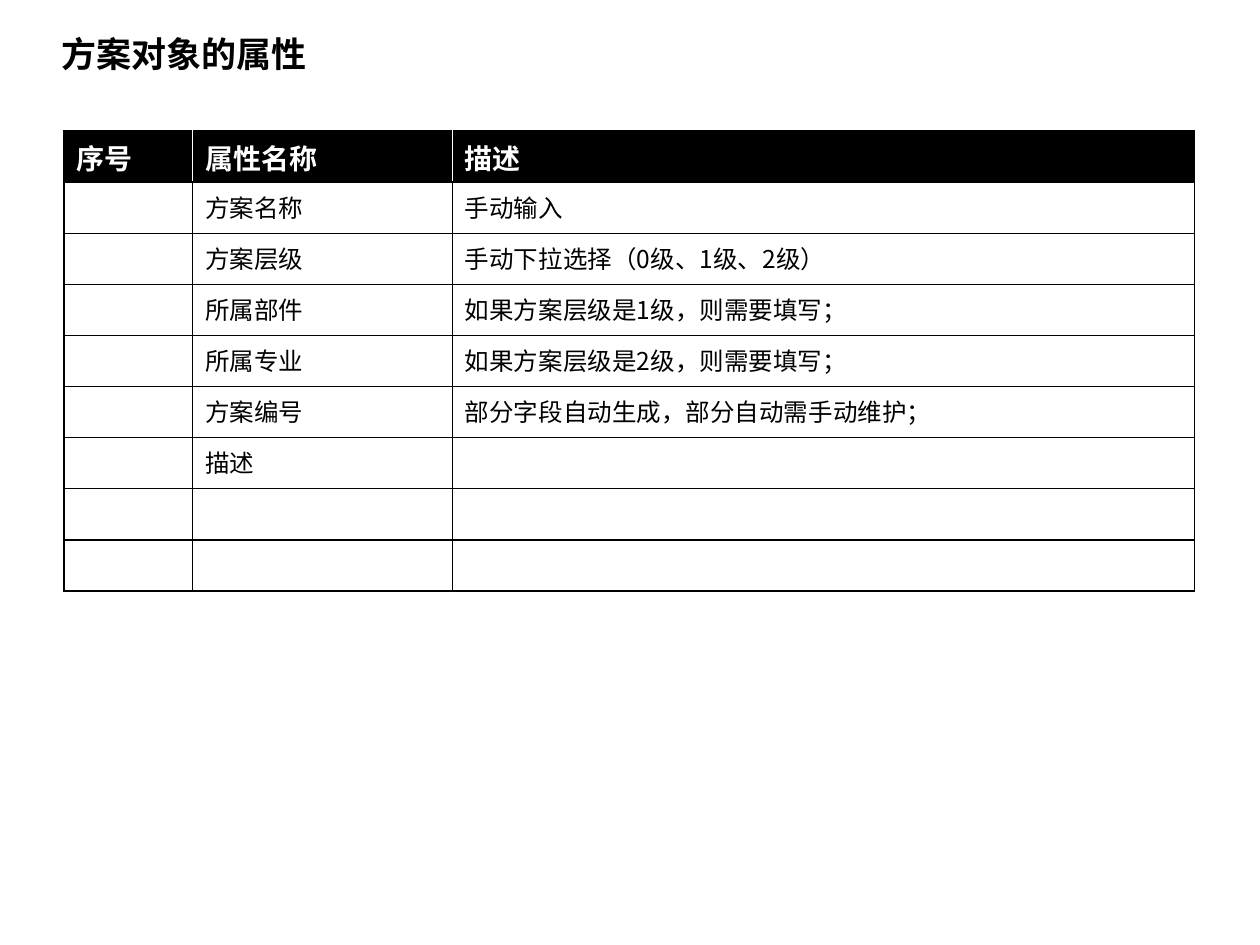
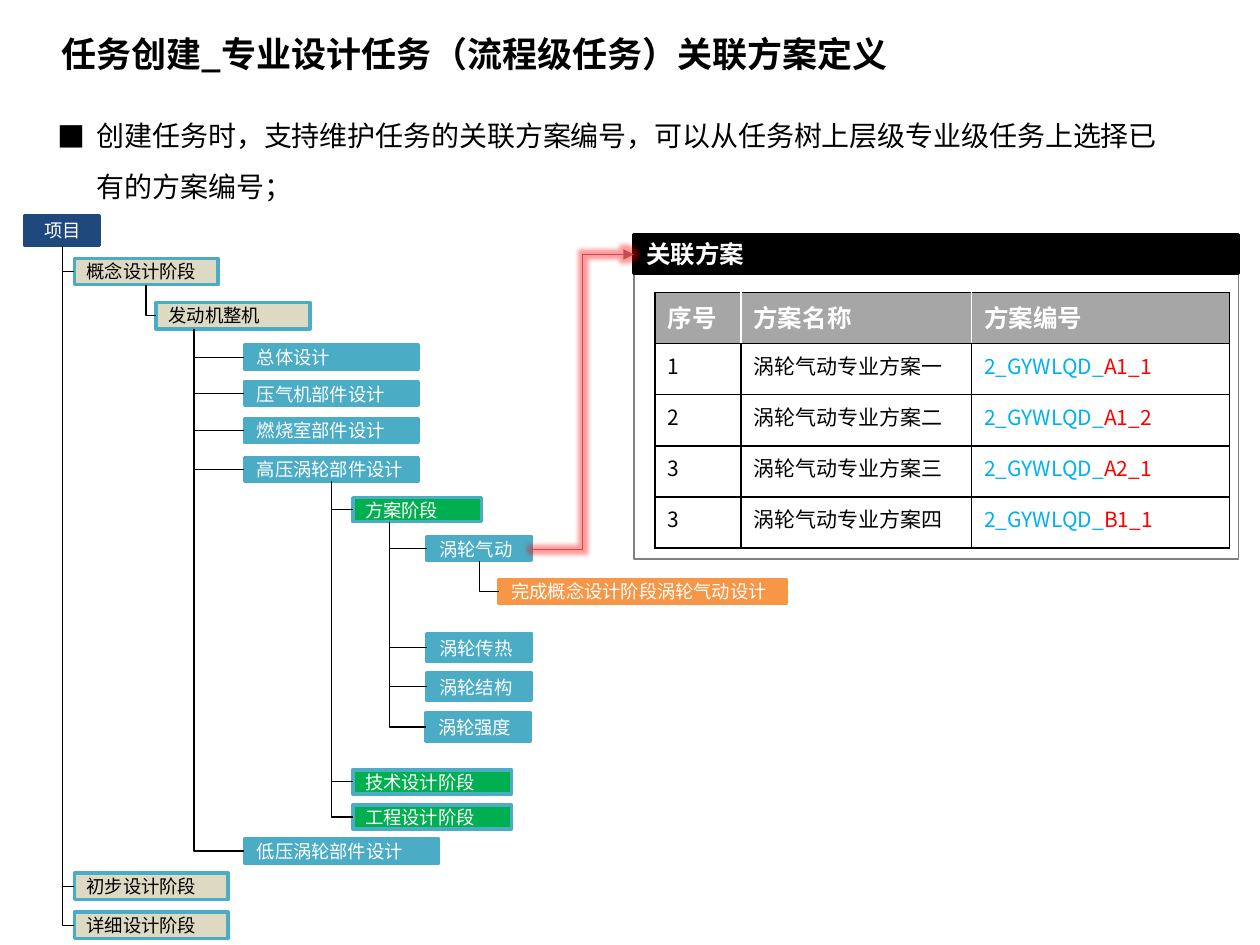
from typing import NamedTuple, Optional

from lxml.etree import SubElement
from pptx import Presentation
from pptx.dml.color import RGBColor
from pptx.enum.shapes import MSO_CONNECTOR, MSO_SHAPE
from pptx.enum.text import MSO_ANCHOR, MSO_AUTO_SIZE, PP_ALIGN
from pptx.oxml.ns import qn
from pptx.util import Inches, Pt

FONT = "Noto Sans CJK SC"
COLORS = {
    "black": "000000",
    "white": "FFFFFF",
    "gray": "808080",
    "header_gray": "A6A6A6",
    "navy": "1F497D",
    "teal": "4BACC6",
    "tan": "DDD9C3",
    "green": "00B050",
    "orange": "F79646",
    "brick": "C0504D",
    "sky": "00B0F0",
    "red": "FF0000",
}


class BoxStyle(NamedTuple):
    fill: str
    line: str
    text: str
    height: float
    align: PP_ALIGN = PP_ALIGN.LEFT


class Node(NamedTuple):
    text: str
    style: str
    left: float
    top: float
    width: float
    parent: Optional[str] = None


class Span(NamedTuple):
    text: str
    color: str


class Grid(NamedTuple):
    left: float
    top: float
    height: float
    widths: list
    rows: list
    header_fill: str
    header_size: float
    body_size: float


STYLES = {
    "project": BoxStyle("navy", "navy", "white", 0.24, PP_ALIGN.CENTER),
    "stage": BoxStyle("tan", "teal", "black", 0.21),
    "part": BoxStyle("teal", "teal", "white", 0.19),
    "phase": BoxStyle("green", "teal", "white", 0.19),
    "discipline": BoxStyle("teal", "teal", "white", 0.22),
    "task": BoxStyle("orange", "orange", "white", 0.19),
}

TREE = [
    Node("项目", "project", 0.2, 1.71, 0.59),
    Node("概念设计阶段", "stage", 0.59, 2.05, 1.14, "项目"),
    Node("发动机整机", "stage", 1.24, 2.4, 1.22, "概念设计阶段"),
    Node("总体设计", "part", 1.94, 2.74, 1.38, "发动机整机"),
    Node("压气机部件设计", "part", 1.94, 3.03, 1.38, "发动机整机"),
    Node("燃烧室部件设计", "part", 1.94, 3.32, 1.38, "发动机整机"),
    Node("高压涡轮部件设计", "part", 1.94, 3.63, 1.38, "发动机整机"),
    Node("方案阶段", "phase", 2.8, 3.95, 1.02, "高压涡轮部件设计"),
    Node("涡轮气动", "part", 3.39, 4.26, 0.83, "方案阶段"),
    Node("完成概念设计阶段涡轮气动设计", "task", 3.96, 4.6, 2.28, "涡轮气动"),
    Node("涡轮传热", "discipline", 3.39, 5.03, 0.83, "方案阶段"),
    Node("涡轮结构", "discipline", 3.39, 5.34, 0.83, "方案阶段"),
    Node("涡轮强度", "discipline", 3.38, 5.66, 0.83, "方案阶段"),
    Node("技术设计阶段", "phase", 2.8, 6.11, 1.26, "高压涡轮部件设计"),
    Node("工程设计阶段", "phase", 2.8, 6.39, 1.26, "高压涡轮部件设计"),
    Node("低压涡轮部件设计", "part", 1.94, 6.66, 1.54, "发动机整机"),
    Node("初步设计阶段", "stage", 0.59, 6.93, 1.22, "项目"),
    Node("详细设计阶段", "stage", 0.59, 7.24, 1.22, "项目"),
]
# Branches leave a box at its centre, except below these boxes
BRANCH_X = {"发动机整机": 1.54, "方案阶段": 3.09}

ATTRIBUTES = Grid(0.51, 1.04, 3.65, [1.02, 2.06, 5.89], [
    ["序号", "属性名称", "描述"],
    ["", "方案名称", "手动输入"],
    ["", "方案层级", "手动下拉选择（0级、1级、2级）"],
    ["", "所属部件", "如果方案层级是1级，则需要填写；"],
    ["", "所属专业", "如果方案层级是2级，则需要填写；"],
    ["", "方案编号", "部分字段自动生成，部分自动需手动维护；"],
    ["", "描述", ""],
    ["", "", ""],
    ["", "", ""],
], "black", 16, 14)


def scheme_row(number: str, ordinal: str, suffix: str) -> list:
    code = [Span("2_GYWLQD_", "sky"), Span(suffix, "red")]
    return [number, f"涡轮气动专业方案{ordinal}", code]


SCHEMES = Grid(5.2, 2.32, 2.03, [0.68, 1.83, 2.05], [
    ["序号", "方案名称", "方案编号"],
    scheme_row("1", "一", "A1_1"),
    scheme_row("2", "二", "A1_2"),
    scheme_row("3", "三", "A2_1"),
    scheme_row("3", "四", "B1_1"),
], "header_gray", 14, 12)


def rgb(name: str) -> RGBColor:
    return RGBColor.from_string(COLORS[name])


def write(frame, text, *, size: float, color: str = "black", bold: bool = False,
          align: PP_ALIGN = PP_ALIGN.LEFT):
    """Write one paragraph; text is a string or a list of coloured spans."""
    para = frame.paragraphs[0]
    para.alignment = align
    spans = [Span(text, color)] if isinstance(text, str) else text
    for span in spans:
        if not span.text:
            continue
        run = para.add_run()
        run.text = span.text
        run.font.name = FONT
        run.font.size = Pt(size)
        run.font.bold = bold
        run.font.color.rgb = rgb(span.color)
        SubElement(run._r.get_or_add_rPr(), qn("a:ea")).set("typeface", FONT)
    return para


def add_text(page, left: float, top: float, width: float, height: float, text: str, **style):
    box = page.shapes.add_textbox(Inches(left), Inches(top), Inches(width), Inches(height))
    box.text_frame.word_wrap = True
    box.text_frame.auto_size = MSO_AUTO_SIZE.SHAPE_TO_FIT_TEXT
    return write(box.text_frame, text, **style)


def add_title(page, text: str) -> None:
    add_text(page, 0.39, 0.21, 8.63, 0.44, text, size=20, bold=True)


def add_box(page, left: float, top: float, width: float, height: float, *,
            fill: str, line: str, weight: float = 2):
    box = page.shapes.add_shape(MSO_SHAPE.RECTANGLE, Inches(left), Inches(top),
                                Inches(width), Inches(height))
    box.shadow.inherit = False
    box.fill.solid()
    box.fill.fore_color.rgb = rgb(fill)
    box.line.color.rgb = rgb(line)
    box.line.width = Pt(weight)
    box.text_frame.word_wrap = True
    box.text_frame.vertical_anchor = MSO_ANCHOR.MIDDLE
    return box


def add_elbow(page, start: tuple, end: tuple, *, bend: float = 0, color: str = "black"):
    """Bent line whose vertical part stands at the share `bend` of its width."""
    elbow = page.shapes.add_connector(MSO_CONNECTOR.ELBOW, Inches(start[0]), Inches(start[1]),
                                      Inches(end[0]), Inches(end[1]))
    elbow.line.color.rgb = rgb(color)
    elbow.line.width = Pt(0.75)
    properties = elbow._element.spPr
    guides = properties.find(qn("a:prstGeom")).get_or_add_avLst()
    guide = SubElement(guides, qn("a:gd"))
    guide.set("name", "adj1")
    guide.set("fmla", f"val {round(bend * 100000)}")
    SubElement(properties, qn("a:effectLst"))
    return elbow


def add_glowing_arrow(page, start: tuple, end: tuple) -> None:
    arrow = add_elbow(page, start, end, bend=0.5, color="brick")
    properties = arrow._element.spPr
    SubElement(properties.find(qn("a:ln")), qn("a:tailEnd")).set("type", "triangle")
    glow = SubElement(properties.find(qn("a:effectLst")), qn("a:glow"))
    glow.set("rad", str(Pt(5)))
    tint = SubElement(glow, qn("a:srgbClr"))
    tint.set("val", COLORS["red"])
    SubElement(tint, qn("a:alpha")).set("val", "40000")


def set_borders(cell, **sides: str) -> None:
    properties = cell._tc.get_or_add_tcPr()
    for side in "LRTB":
        border = SubElement(properties, qn(f"a:ln{side}"))
        border.set("w", str(Pt(1)))
        fill = SubElement(border, qn("a:solidFill"))
        SubElement(fill, qn("a:srgbClr")).set("val", COLORS[sides.get(side, "black")])


def add_grid(page, grid: Grid) -> None:
    last = len(grid.widths) - 1
    table = page.shapes.add_table(len(grid.rows), len(grid.widths), Inches(grid.left),
                                  Inches(grid.top), Inches(sum(grid.widths)),
                                  Inches(grid.height)).table
    table.horz_banding = False
    for column, width in zip(table.columns, grid.widths):
        column.width = Inches(width)
    for row, texts in enumerate(grid.rows):
        header = row == 0
        for column, text in enumerate(texts):
            cell = table.cell(row, column)
            set_borders(cell, L="white" if header and column > 0 else "black",
                        R="white" if header and column < last else "black")
            cell.fill.solid()
            cell.fill.fore_color.rgb = rgb(grid.header_fill if header else "white")
            write(cell.text_frame, text, bold=header,
                  size=grid.header_size if header else grid.body_size,
                  color="white" if header else "black")


def add_tree(page) -> None:
    nodes = {node.text: node for node in TREE}
    for node in TREE:
        style = STYLES[node.style]
        box = add_box(page, node.left, node.top, node.width, style.height,
                      fill=style.fill, line=style.line)
        write(box.text_frame, node.text, size=10.5, color=style.text, align=style.align)
        if node.parent:
            parent = nodes[node.parent]
            branch = BRANCH_X.get(parent.text, parent.left + parent.width / 2)
            bottom = parent.top + STYLES[parent.style].height
            add_elbow(page, (branch, bottom), (node.left, node.top + style.height / 2))


def add_bullet(para) -> None:
    properties = para._p.get_or_add_pPr()
    properties.set("marL", str(Inches(0.31)))
    properties.set("indent", str(-Inches(0.31)))
    SubElement(properties, qn("a:buFont")).set("typeface", FONT)
    SubElement(properties, qn("a:buChar")).set("char", "■")
    para.line_spacing = 1.5


def build_attributes(page) -> None:
    add_title(page, "方案对象的属性")
    add_grid(page, ATTRIBUTES)


def build_task_creation(page) -> None:
    add_title(page, "任务创建_专业设计任务（流程级任务）关联方案定义")
    add_bullet(add_text(page, 0.36, 0.76, 9.13, 0.91,
                        "创建任务时，支持维护任务的关联方案编号，可以从任务树上层级专业级任务上"
                        "选择已有的方案编号；", size=16))
    add_tree(page)
    # Panel of linked schemes
    add_box(page, 5.03, 1.86, 4.8, 2.58, fill="white", line="gray", weight=1)
    heading = add_box(page, 5.03, 1.86, 4.8, 0.31, fill="black", line="black")
    write(heading.text_frame, "关联方案", size=14, color="white", bold=True)
    add_grid(page, SCHEMES)
    add_glowing_arrow(page, (4.22, 4.36), (5.03, 2.02))


def main() -> None:
    deck = Presentation()
    deck.slide_width = Inches(10)
    deck.slide_height = Inches(7.5)
    for build in (build_attributes, build_task_creation):
        build(deck.slides.add_slide(deck.slide_layouts[6]))
    deck.save("out.pptx")


if __name__ == "__main__":
    main()
